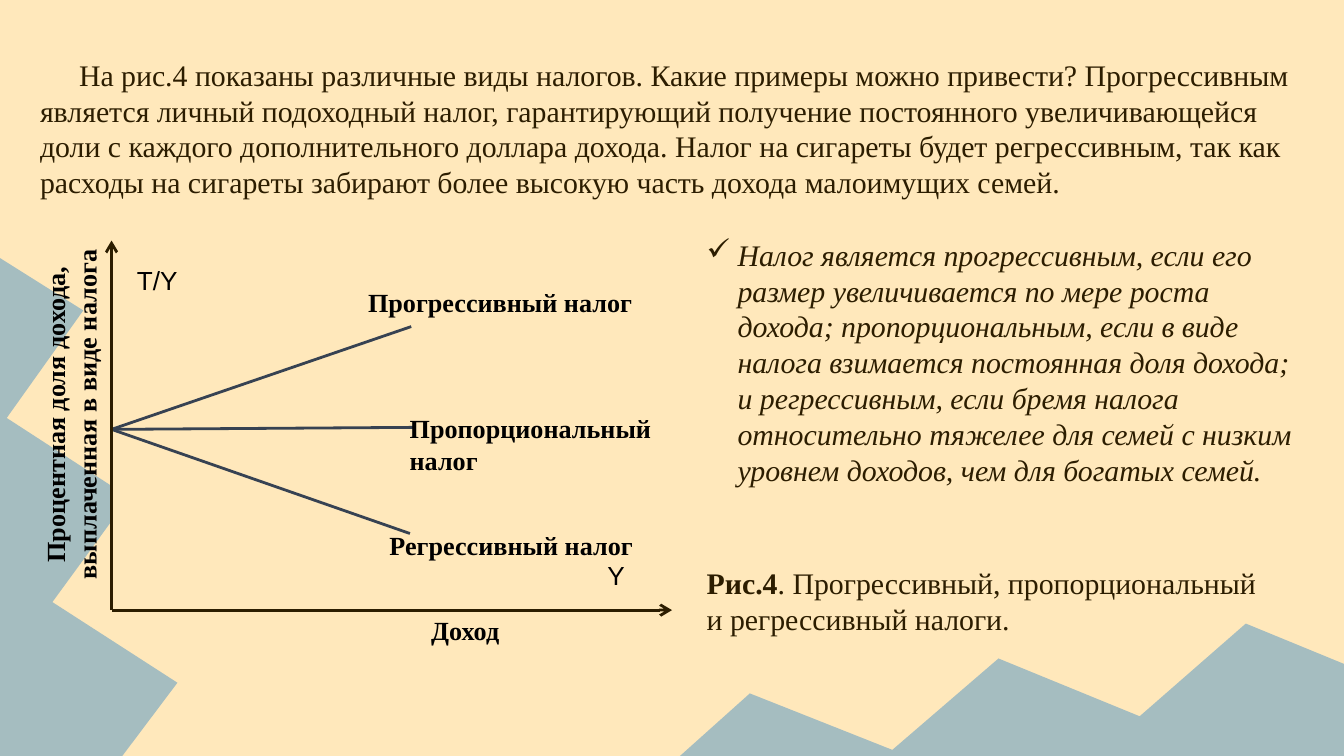
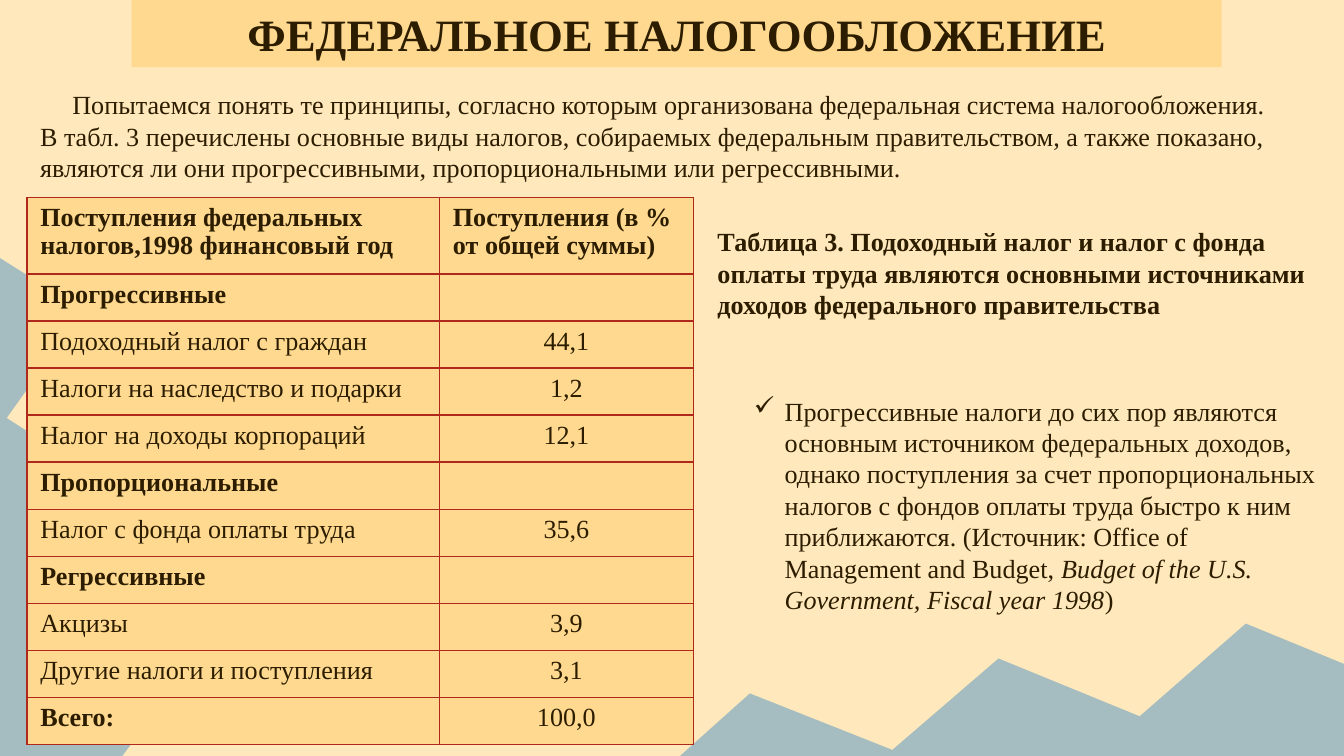
from dataclasses import dataclass

from lxml import etree
from pptx import Presentation
from pptx import util as u
from pptx.dml.color import RGBColor
from pptx.enum import shapes, text
from pptx.oxml import ns

PX = u.Inches(1) // 200
SERIF, SANS = "Times New Roman", "Arial"
CREAM, SAND, BLUE = "FFE8BB", "FFD98F", "A5BDC0"
BROWN, BLACK, SLATE, RED = "2C1D00", "000000", "374252", "B0271C"
CENTER = text.PP_ALIGN.CENTER

MOUNTAINS = [
    [(0, 384), (0, 1125), (182, 1125), (264, 1016), (78, 896),
     (192, 740), (10, 622), (124, 462)],
    [(1012, 1125), (2000, 1125), (2000, 988), (1854, 928), (1696, 1066),
     (1486, 980), (1328, 1116), (1116, 1032)],
]


@dataclass(frozen=True)
class Box:
    x: int
    y: int
    w: int
    h: int

    def emu(self) -> list[int]:
        return [px(v) for v in (self.x, self.y, self.w, self.h)]


@dataclass(frozen=True)
class Run:
    text: str
    bold: bool = False
    italic: bool = False


@dataclass(frozen=True)
class Label:
    box: Box
    text: str
    font: str = SERIF
    bold: bool = True
    rotation: int = 0


@dataclass(frozen=True)
class Body:
    box: Box
    runs: tuple[Run, ...]
    size: int
    indent: int = 0
    bullet: bool = False


@dataclass(frozen=True)
class TaxRow:
    name: str
    share: str = ""
    bold: bool = False


LABELS = [
    Label(Box(528, 406, 442, 120), "Прогрессивный налог"),
    Label(Box(590, 594, 408, 120), "Пропорциональный налог"),
    Label(Box(560, 768, 488, 120), "Регрессивный налог"),
    Label(Box(-284, 588, 702, 58),
          "Процентная доля дохода, выплаченная в виде налога", rotation=270),
    Label(Box(184, 374, 108, 66), "T/Y", SANS, False),
    Label(Box(884, 812, 82, 66), "Y", SANS, False),
    Label(Box(622, 894, 336, 120), "Доход"),
]

TAX_KINDS = [
    Body(Box(40, 74, 1922, 236), (Run(
        "На рис.4 показаны различные виды налогов. Какие примеры можно "
        "привести? Прогрессивным является личный подоходный налог, "
        "гарантирующий получение постоянного увеличивающейся доли с каждого "
        "дополнительного доллара дохода. Налог на сигареты будет "
        "регрессивным, так как расходы на сигареты забирают более высокую "
        "часть дохода малоимущих семей."),), 16, indent=58),
    Body(Box(1032, 830, 858, 182), (
        Run("Рис.4", bold=True),
        Run(". Прогрессивный, пропорциональный и регрессивный налоги.")), 16),
    Body(Box(1032, 342, 930, 398), (Run(
        "Налог является прогрессивным, если его размер увеличивается по мере "
        "роста дохода; пропорциональным, если в виде налога взимается "
        "постоянная доля дохода; и регрессивным, если бремя налога "
        "относительно тяжелее для семей с низким уровнем доходов, чем для "
        "богатых семей.", italic=True),), 16, bullet=True),
]

FEDERAL_TAXES = [
    Body(Box(40, 122, 1874, 162), (Run(
        "Попытаемся понять те принципы, согласно которым организована "
        "федеральная система налогообложения. В табл. 3 перечислены основные "
        "виды налогов, собираемых федеральным правительством, а также "
        "показано, являются ли они прогрессивными, пропорциональными или "
        "регрессивными."),), 14, indent=48),
    Body(Box(1048, 326, 952, 162), (Run(
        "Таблица 3. Подоходный налог и налог с фонда оплаты труда являются "
        "основными источниками доходов федерального правительства",
        bold=True),), 14),
    Body(Box(1102, 578, 898, 398), (
        Run("Прогрессивные налоги до сих пор являются основным источником "
            "федеральных доходов, однако поступления за счет "
            "пропорциональных налогов с фондов оплаты труда быстро к ним "
            "приближаются. (Источник: Office of Management and Budget, "),
        Run("Budget of the U.S. Government, Fiscal year 1998", italic=True),
        Run(")")), 14, bullet=True),
]

TAX_ROWS = [
    TaxRow("Прогрессивные", bold=True),
    TaxRow("Подоходный налог с граждан", "44,1"),
    TaxRow("Налоги на наследство и подарки", "1,2"),
    TaxRow("Налог на доходы корпораций", "12,1"),
    TaxRow("Пропорциональные", bold=True),
    TaxRow("Налог с фонда оплаты труда", "35,6"),
    TaxRow("Регрессивные", bold=True),
    TaxRow("Акцизы", "3,9"),
    TaxRow("Другие налоги и поступления", "3,1"),
    TaxRow("Всего:", "100,0", bold=True),
]


def px(n: int) -> int:
    return u.Emu(n * PX)


def rgb(value: str) -> RGBColor:
    return RGBColor.from_string(value)


def sub(parent, tag: str, **attrs: str):
    return etree.SubElement(parent, ns.qn(tag), attrs)


def paint(sp, color: str) -> None:
    sp.shadow.inherit = False
    sp.fill.solid()
    sp.fill.fore_color.rgb = rgb(color)
    sp.line.fill.background()


def add_run(p, run: Run, size: int, color: str = BROWN, font: str = SERIF) -> None:
    r = p.add_run()
    r.text = run.text
    r.font.size = u.Pt(size)
    r.font.name = font
    r.font.bold = run.bold
    r.font.italic = run.italic
    r.font.color.rgb = rgb(color)


def new_slide(prs):
    s = prs.slides.add_slide(prs.slide_layouts[6])
    for start, *rest in MOUNTAINS:
        builder = s.shapes.build_freeform(*start, scale=PX)
        builder.add_line_segments(rest)
        paint(builder.convert_to_shape(), BLUE)
    return s


def add_rect(s, box: Box, color: str):
    sp = s.shapes.add_shape(shapes.MSO_SHAPE.RECTANGLE, *box.emu())
    paint(sp, color)
    return sp


def add_label(s, label: Label) -> None:
    sp = s.shapes.add_textbox(*label.box.emu())
    sp.rotation = label.rotation
    tf = sp.text_frame
    tf.word_wrap = True
    tf.margin_left = tf.margin_right = tf.margin_top = tf.margin_bottom = px(20)
    p = tf.paragraphs[0]
    p.line_spacing = u.Pt(16.8)
    if label.rotation:
        p.alignment = CENTER
    add_run(p, Run(label.text, label.bold), 14, BLACK, label.font)


def add_body(s, body: Body) -> None:
    tf = s.shapes.add_textbox(*body.box.emu()).text_frame
    tf.word_wrap = True
    tf.auto_size = text.MSO_AUTO_SIZE.SHAPE_TO_FIT_TEXT
    p = tf.paragraphs[0]
    p.line_spacing = u.Pt(body.size * 1.2)
    pr = p._p.get_or_add_pPr()
    if body.bullet:
        pr.set("marL", str(px(46)))
        pr.set("indent", str(px(-46)))
        sub(pr, "a:buChar", char="✓")
    elif body.indent:
        pr.set("indent", str(px(body.indent)))
    for run in body.runs:
        add_run(p, run, body.size)


def add_line(s, start: tuple[int, int], end: tuple[int, int], color: str,
             arrow: bool = False):
    c = s.shapes.add_connector(shapes.MSO_CONNECTOR.STRAIGHT,
                               *(px(v) for v in start + end))
    c.line.width = u.Pt(1.5)
    c.line.color.rgb = rgb(color)
    if arrow:
        sub(c.line._get_or_add_ln(), "a:tailEnd", type="arrow")
    sub(c._element.spPr, "a:effectLst")
    return c


def fill_cell(cell, run: Run, centered: bool) -> None:
    cell.fill.solid()
    cell.fill.fore_color.rgb = rgb(SAND)
    p = cell.text_frame.paragraphs[0]
    p.line_spacing = u.Pt(15)
    if centered:
        p.alignment = CENTER
    if run.text:
        add_run(p, run, 14)
    else:
        sub(p._p, "a:endParaRPr", sz="1400")
    pr = cell._tc.get_or_add_tcPr()
    for i, side in enumerate(("a:lnL", "a:lnR", "a:lnT", "a:lnB")):
        ln = etree.Element(ns.qn(side), w=str(u.Pt(1)))
        sub(sub(ln, "a:solidFill"), "a:srgbClr", val=RED)
        pr.insert(i, ln)


def add_tax_table(s) -> None:
    box = Box(40, 294, 992, 810)
    frame = s.shapes.add_table(len(TAX_ROWS) + 1, 2, *box.emu())
    table = frame.table
    table.first_row = table.horz_banding = False
    for column, width in zip(table.columns, (614, 378)):
        column.width = px(width)
    for i, row in enumerate(table.rows):
        row.height = px(70 if i else 114)
    header = ("Поступления федеральных налогов,1998 финансовый год",
              "Поступления (в % от общей суммы)")
    for col, title in enumerate(header):
        fill_cell(table.cell(0, col), Run(title, bold=True), False)
    for i, tax in enumerate(TAX_ROWS, 1):
        fill_cell(table.cell(i, 0), Run(tax.name, tax.bold), False)
        fill_cell(table.cell(i, 1), Run(tax.share), True)


def tax_kinds_slide(prs) -> None:
    s = new_slide(prs)
    plot = add_rect(s, Box(166, 374, 830, 530), CREAM)
    for end in ((612, 486), (616, 636), (610, 794)):
        add_line(s, (166, 639), end, SLATE).begin_connect(plot, 1)
    for label in LABELS:
        add_label(s, label)
    for body in TAX_KINDS:
        add_body(s, body)
    for end in ((166, 358), (1000, 908)):
        add_line(s, (166, 908), end, BROWN, arrow=True)


def federal_taxes_slide(prs) -> None:
    s = new_slide(prs)
    tf = add_rect(s, Box(196, 0, 1622, 100), SAND).text_frame
    tf.word_wrap = True
    p = tf.paragraphs[0]
    p.alignment = CENTER
    add_run(p, Run("ФЕДЕРАЛЬНОЕ НАЛОГООБЛОЖЕНИЕ", bold=True), 24)
    add_tax_table(s)
    for body in FEDERAL_TAXES:
        add_body(s, body)


def main() -> None:
    prs = Presentation()
    prs.slide_width, prs.slide_height = px(2000), px(1125)
    fill = prs.slide_master.background.fill
    fill.solid()
    fill.fore_color.rgb = rgb(CREAM)
    tax_kinds_slide(prs)
    federal_taxes_slide(prs)
    prs.save("out.pptx")


if __name__ == "__main__":
    main()
